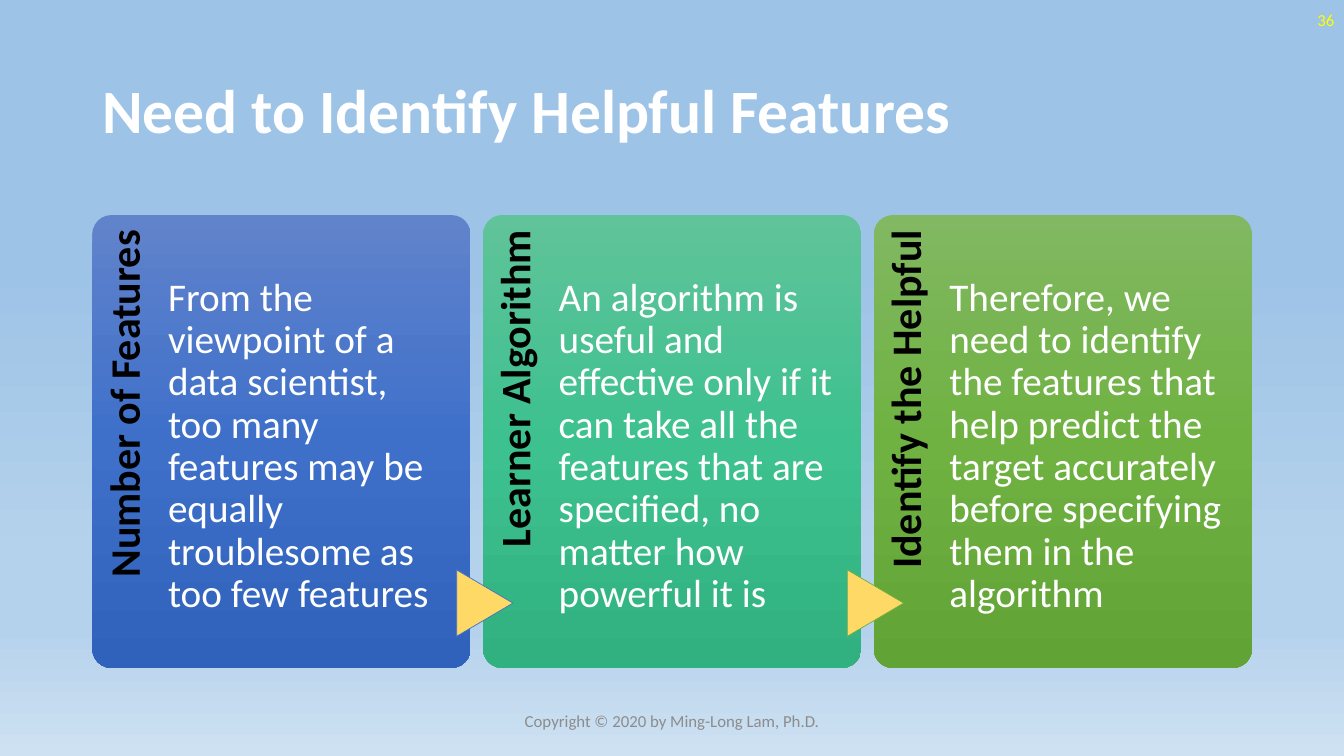
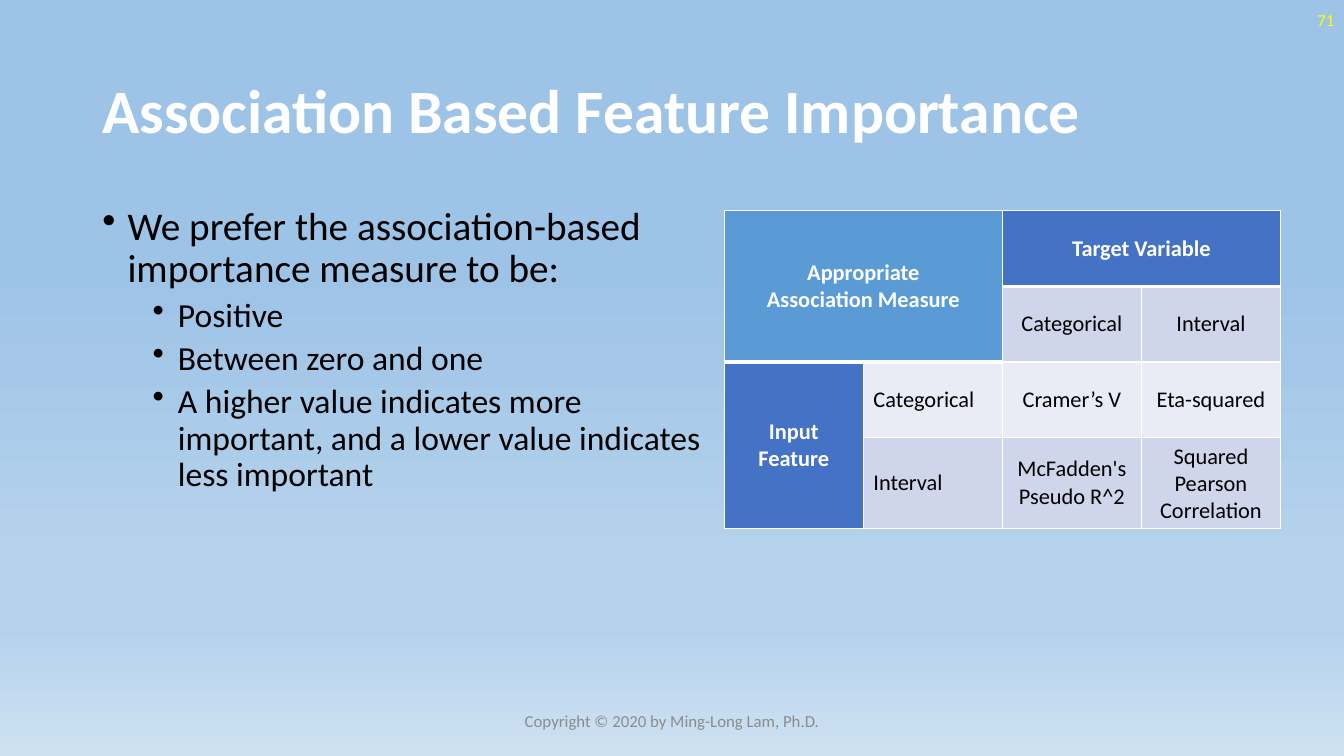
"""Build two slides on choosing helpful features for a learner algorithm."""
from lxml.etree import SubElement
from pptx import Presentation
from pptx.dml.color import RGBColor
from pptx.enum.shapes import MSO_SHAPE as Preset
from pptx.enum.text import MSO_ANCHOR as Anchor, PP_ALIGN as Align
from pptx.oxml import parse_xml
from pptx.oxml.ns import nsdecls, qn
from pptx.util import Inches, Pt

COLORS = {
    "white": "FFFFFF", "black": "000000", "number": "FFFF00", "footer": "8C8C8C",
    "arrow": "FFD966", "blue": "4472C4", "green": "70AD47", "corner": "5B9BD5",
    "light": "E9EBF5", "dark": "CFD5EA",
}
BACKGROUND = [(35, "9DC3E6"), (74, "B5D2EC"), (83, "B5D2EC"), (100, "CEE1F2")]
FONT = "Calibri"
FOOTER = "Copyright © 2020 by Ming-Long Lam, Ph.D."

presentation = Presentation()
presentation.slide_width = Inches(13.33)
presentation.slide_height = Inches(7.5)
UNIT = presentation.slide_height // 9


def paint_gradient(fill, element, stops):
    """Fill from top to bottom through (percent, color) stops."""
    fill.gradient()
    fill.gradient_angle = 270
    stop_list = next(element.iter(qn("a:gsLst")))
    for old_stop in list(stop_list):
        stop_list.remove(old_stop)
    for percent, color in stops:
        stop = SubElement(stop_list, qn("a:gs"), pos=str(percent * 1000))
        SubElement(stop, qn("a:srgbClr"), val=color)


def add_text(slide, spot, lines, size, color, bold=False, align=Align.LEFT,
             anchor=Anchor.MIDDLE, insets=(0.1, 0.05, 0.1, 0.05), spacing=0.9):
    """Add a wrapped text box whose spot is given in grid units."""
    shape = slide.shapes.add_textbox(*(round(UNIT * share) for share in spot))
    frame = shape.text_frame
    frame.word_wrap = True
    frame.vertical_anchor = anchor
    frame.margin_left, frame.margin_top, frame.margin_right, frame.margin_bottom = map(Inches, insets)
    for index, line in enumerate(lines):
        paragraph = frame.add_paragraph() if index else frame.paragraphs[0]
        paragraph.alignment = align
        paragraph.line_spacing = spacing
        run = paragraph.add_run()
        run.text = line
        run.font.name = FONT
        run.font.size = Pt(size)
        run.font.bold = bold
        run.font.color.rgb = RGBColor.from_string(COLORS[color])
    return shape


master = presentation.slide_master
paint_gradient(master.background.fill, master.element, BACKGROUND)

slides = []
for title, number in [("Need to Identify Helpful Features", "36"),
                      ("Association Based Feature Importance", "71")]:
    slide = presentation.slides.add_slide(presentation.slide_layouts[6])
    add_text(slide, (1.1, 0.48, 13.8, 1.74), [title], 44, "white", bold=True)
    add_text(slide, (12.4, 0, 3.6, 0.48), [number], 12, "number", align=Align.RIGHT, spacing=1.0)
    add_text(slide, (5.3, 8.34, 5.4, 0.48), [FOOTER], 12, "footer", align=Align.CENTER, spacing=1.0)
    slides.append(slide)
features_slide, importance_slide = slides

CARD_LEFT, CARD_TOP, CARD_WIDTH, CARD_HEIGHT, CARD_GAP = 1.1, 2.56, 4.5, 5.39, 0.15
LABEL_LENGTH, LABEL_DEPTH = 4.43, 0.9
ARROW_WIDTH, ARROW_HEIGHT, ARROW_MIDDLE = 0.79, 0.67, 7.18
cards = [
    ("Number of Features",
     "From the viewpoint of a data scientist, too many features may be equally "
     "troublesome as too few features",
     ("6183CB", "3E70CA", "3062BB"), None),
    ("Learner Algorithm",
     "An algorithm is useful and effective only if it can take all the features "
     "that are specified, no matter how powerful it is",
     ("60C39A", "3DC18F", "31B080"), "blue"),
    ("Identify the Helpful",
     "Therefore, we need to identify the features that help predict the target "
     "accurately before specifying them in the algorithm",
     ("81B861", "6FB242", "62A336"), "green"),
]
for index, (label, message, shades, arrow_line) in enumerate(cards):
    left = CARD_LEFT + index * (CARD_WIDTH + CARD_GAP)
    card_spot = (left, CARD_TOP, CARD_WIDTH, CARD_HEIGHT)
    card = features_slide.shapes.add_shape(
        Preset.ROUNDED_RECTANGLE, *(round(UNIT * share) for share in card_spot))
    card.adjustments[0] = 0.05
    card.shadow.inherit = False
    card.line.fill.background()
    paint_gradient(card.fill, card.element, zip((0, 50, 100), shades))

    label_spot = (left + (LABEL_DEPTH - LABEL_LENGTH) / 2,
                  CARD_TOP + (LABEL_LENGTH - LABEL_DEPTH) / 2, LABEL_LENGTH, LABEL_DEPTH)
    label_box = add_text(features_slide, label_spot, [label], 30, "black", bold=True,
                         align=Align.RIGHT, anchor=Anchor.TOP, insets=(0, 0.11, 0.15, 0))
    label_box.rotation = 270

    if arrow_line:
        arrow_spot = (left + 0.02 - ARROW_WIDTH / 2, ARROW_MIDDLE - ARROW_HEIGHT / 2,
                      ARROW_WIDTH, ARROW_HEIGHT)
        arrow = features_slide.shapes.add_shape(
            Preset.FLOWCHART_EXTRACT, *(round(UNIT * share) for share in arrow_spot))
        arrow.rotation = 90
        arrow.shadow.inherit = False
        arrow.fill.solid()
        arrow.fill.fore_color.rgb = RGBColor.from_string(COLORS["arrow"])
        arrow.line.color.rgb = RGBColor.from_string(COLORS[arrow_line])
        arrow.line.width = Pt(0.5)

    add_text(features_slide, (left + LABEL_DEPTH, CARD_TOP, 3.35, CARD_HEIGHT), [message],
             28, "white", insets=(0, 0.1, 0, 0))

preferences = [
    "We prefer the association-based importance measure to be:",
    "Positive",
    "Between zero and one",
    "A higher value indicates more important, and a lower value indicates less important",
]
preference_box = add_text(importance_slide, (1.1, 2.4, 7.44, 5.71), preferences, 24, "black",
                          anchor=Anchor.TOP)
for index, paragraph in enumerate(preference_box.text_frame.paragraphs):
    properties = paragraph._p.get_or_add_pPr()
    properties.set("marL", str(Inches(0.75 if index else 0.25)))
    properties.set("indent", str(-Inches(0.25)))
    SubElement(properties, qn("a:buChar"), char="•")
    if index:
        paragraph.level = 1
        paragraph.space_before = Pt(5)
    else:
        paragraph.runs[0].font.size = Pt(28)

TABLE_SIZE = 4
table_spot = (8.62, 2.51, 6.62, 3.6)
table = importance_slide.shapes.add_table(
    TABLE_SIZE, TABLE_SIZE, *(round(UNIT * share) for share in table_spot)).table
table.first_row = False
table.horz_banding = False
for first, last in [((0, 0), (1, 1)), ((0, 2), (0, 3)), ((2, 0), (3, 0))]:
    table.cell(*first).merge(table.cell(*last))

measures = [
    ["Appropriate\nAssociation Measure", "", "Target Variable", ""],
    ["", "", "Categorical", "Interval"],
    ["Input Feature", "Categorical", "Cramer’s V", "Eta-squared"],
    ["", "Interval", "McFadden's Pseudo R^2", "Squared Pearson Correlation"],
]
fills = [
    ["corner", "corner", "blue", "blue"],
    ["corner", "corner", "dark", "dark"],
    ["blue", "light", "light", "light"],
    ["blue", "dark", "dark", "dark"],
]
for row, texts in enumerate(measures):
    for column, text in enumerate(texts):
        cell = table.cell(row, column)
        fill = fills[row][column]
        is_heading = fill in ("corner", "blue")
        cell.fill.solid()
        cell.fill.fore_color.rgb = RGBColor.from_string(COLORS[fill])
        cell.vertical_anchor = Anchor.MIDDLE

        header_rows = 2 if column < 2 else 1
        widths = {"L": 1, "R": 1, "T": 3 if row == header_rows else 1,
                  "B": 3 if row < header_rows else 1}
        for place, (side, width) in enumerate(widths.items()):
            cell._tc.get_or_add_tcPr().insert(place, parse_xml(
                f'<a:ln{side} {nsdecls("a")} w="{Pt(width)}"><a:solidFill>'
                f'<a:srgbClr val="{COLORS["white"]}"/></a:solidFill></a:ln{side}>'))

        if not text:
            continue
        paragraph = cell.text_frame.paragraphs[0]
        paragraph.alignment = Align.LEFT if column == 1 else Align.CENTER
        for index, line in enumerate(text.split("\n")):
            if index:
                paragraph.add_line_break()
            run = paragraph.add_run()
            run.text = line
            run.font.name = FONT
            run.font.size = Pt(16)
            run.font.bold = is_heading
            run.font.color.rgb = RGBColor.from_string(COLORS["white" if is_heading else "black"])

presentation.save("out.pptx")
